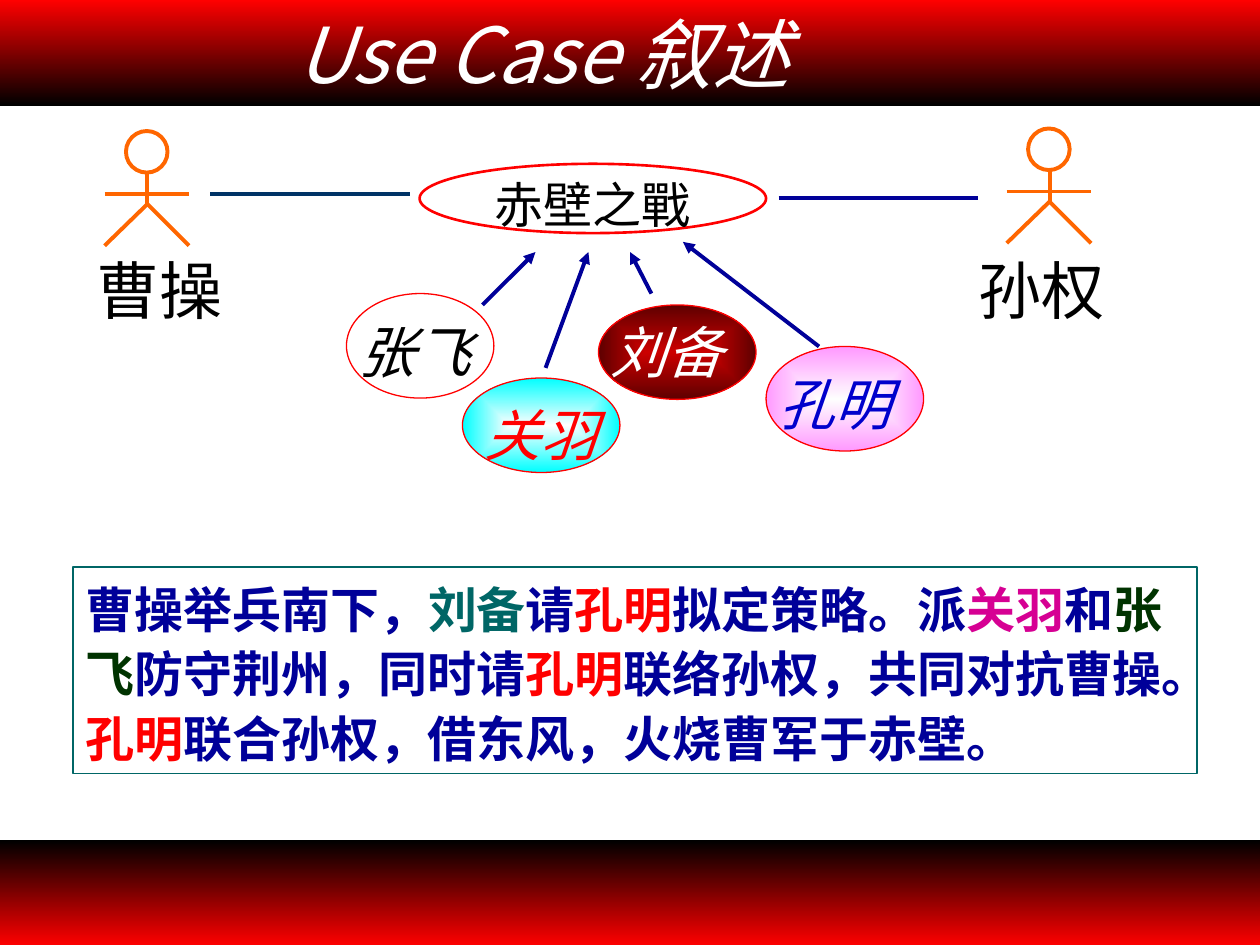
from pptx import Presentation
from pptx.dml.color import RGBColor
from pptx.enum.shapes import MSO_CONNECTOR, MSO_SHAPE
from pptx.enum.text import MSO_ANCHOR, PP_ALIGN
from pptx.oxml.ns import qn
from pptx.util import Inches, Pt
from lxml.etree import SubElement

BLACK = RGBColor(0x00, 0x00, 0x00)
WHITE = RGBColor(0xFF, 0xFF, 0xFF)
NEAR_WHITE = RGBColor(0xFE, 0xFE, 0xFE)
RED = RGBColor(0xFF, 0x00, 0x00)
CRIMSON = RGBColor(0xCC, 0x00, 0x00)
MAROON = RGBColor(0x5E, 0x00, 0x00)
CYAN = RGBColor(0x00, 0xFF, 0xFF)
PINK = RGBColor(0xFF, 0x99, 0xFF)
MAGENTA = RGBColor(0xD6, 0x00, 0x93)
BLUE = RGBColor(0x00, 0x00, 0xCC)
NAVY = RGBColor(0x00, 0x00, 0x99)
STEEL = RGBColor(0x00, 0x33, 0x66)
TEAL = RGBColor(0x00, 0x66, 0x66)
GREEN = RGBColor(0x00, 0x33, 0x00)
ORANGE = RGBColor(0xFF, 0x66, 0x00)

SERIF = "Times New Roman"

deck = Presentation()
deck.slide_width = Inches(10)
deck.slide_height = Inches(7.5)
page = deck.slides.add_slide(deck.slide_layouts[6])


def add_line(start, end, color, width, arrow=False):
    line = page.shapes.add_connector(
        MSO_CONNECTOR.STRAIGHT, *[Inches(value) for value in start + end])
    line.line.color.rgb = color
    line.line.width = Pt(width)
    properties = line._element.spPr
    if arrow:
        SubElement(properties.find(qn("a:ln")), qn("a:tailEnd"), type="triangle")
    SubElement(properties, qn("a:effectLst"))


def add_span(para, text, font_name, size, color, bold=False, italic=False):
    span = para.add_run()
    span.text = text
    span.font.name = font_name
    span.font.size = Pt(size)
    span.font.color.rgb = color
    span.font.bold = bold
    span.font.italic = italic


# Top and bottom bands
bands = []
for top, colors in ((0, (RED, BLACK)), (6.67, (BLACK, RED))):
    band = page.shapes.add_shape(
        MSO_SHAPE.RECTANGLE, 0, Inches(top), Inches(10), Inches(0.84))
    band.shadow.inherit = False
    band.line.fill.background()
    band.fill.gradient()
    band.fill.gradient_angle = 270
    for stop, color in zip(band.fill.gradient_stops, colors):
        stop.color.rgb = color
        stop.position = colors.index(color)
    bands.append(band)

# Title in the top band
frame = bands[0].text_frame
frame.word_wrap = True
frame.vertical_anchor = MSO_ANCHOR.MIDDLE
frame.margin_left = Inches(2.35)
frame.margin_top = frame.margin_bottom = 0
para = frame.paragraphs[0]
para.alignment = PP_ALIGN.LEFT
add_span(para, "Use Case 叙述", "Noto Sans CJK SC", 44, WHITE, italic=True)

# Ovals: actor heads, use case, and the four roles
ACTORS = ((1.17, 1.04), (8.33, 1.02))  # centre and top of each head
ovals = [((center - 0.17, top, 0.33, 0.33), (), ORANGE, 2.25)
         for center, top in ACTORS]
ovals += [
    ((3.33, 1.3, 2.75, 0.55), (), RED, 1.5),
    ((4.75, 2.42, 1.25, 0.75), (CRIMSON, MAROON), RED, 0.75),
    ((3.67, 3, 1.25, 0.75), (NEAR_WHITE, CYAN), RED, 0.75),
    ((6.08, 2.75, 1.25, 0.83), (NEAR_WHITE, PINK), RED, 0.75),
    ((2.75, 2.33, 1.17, 0.83), (WHITE,), RED, 0.75),
]
for place, colors, outline, width in ovals:
    oval = page.shapes.add_shape(
        MSO_SHAPE.OVAL, *[Inches(value) for value in place])
    oval.shadow.inherit = False
    oval.line.color.rgb = outline
    oval.line.width = Pt(width)
    if not colors:
        oval.fill.background()
    elif len(colors) == 1:
        oval.fill.solid()
        oval.fill.fore_color.rgb = colors[0]
    else:
        oval.fill.gradient()
        for stop, color in zip(oval.fill.gradient_stops, colors):
            stop.color.rgb = color
            stop.position = colors.index(color)
        # Radiate from the centre instead of running in one direction
        gradient = oval._element.spPr.find(qn("a:gradFill"))
        gradient.remove(gradient.find(qn("a:lin")))
        radial = SubElement(gradient, qn("a:path"), {"path": "rect"})
        SubElement(radial, qn("a:fillToRect"),
                   {side: "50000" for side in "ltrb"})

# Arms, body and legs of the actors
for center, top in ACTORS:
    left, right = center - 0.34, center + 0.33
    hip = (center, top + 0.58)
    for start, end in (
        ((left, top + 0.5), (right, top + 0.5)),
        ((center, top + 0.33), hip),
        (hip, (left, top + 0.91)),
        (hip, (right, top + 0.91)),
    ):
        add_line(start, end, ORANGE, 2.25)

# Links from actors to the use case
add_line((1.67, 1.54), (3.25, 1.54), STEEL, 2.5)
add_line((6.18, 1.57), (7.76, 1.57), NAVY, 2.5)

# Arrows from roles to the use case
for start, end in (
    ((3.83, 2.42), (4.25, 2)),
    ((4.33, 2.92), (4.67, 2)),
    ((5.17, 2.33), (5, 2)),
    ((6.5, 2.75), (5.42, 1.92)),
):
    add_line(start, end, NAVY, 2.25, arrow=True)

# Labels
for text, place, size, color, italic, spacing in (
    ("刘备", (4.75, 2.42, 1.17, 0.69), 32, WHITE, True, 1.1),
    ("关羽", (3.75, 3.08, 1.17, 0.69), 32, RED, True, 1.1),
    ("孔明", (6.08, 2.83, 1.17, 0.69), 32, BLUE, True, 1.1),
    ("张飞", (2.75, 2.42, 1.17, 0.69), 32, BLACK, True, 1.1),
    ("赤壁之戰", (3.83, 1.29, 2.17, 0.62), 28, BLACK, False, 1.1),
    ("曹操", (0.67, 2.04, 1.5, 0.61), 36, BLACK, False, 0.85),
    ("孙权", (7.67, 2.04, 1.25, 0.61), 36, BLACK, False, 0.85),
):
    box = page.shapes.add_textbox(*[Inches(value) for value in place])
    box.text_frame.word_wrap = True
    para = box.text_frame.paragraphs[0]
    para.line_spacing = spacing
    add_span(para, text, SERIF, size, color, italic=italic)

# Story with the roles picked out in colour
story = page.shapes.add_textbox(
    Inches(0.58), Inches(4.5), Inches(8.92), Inches(1.64))
story.line.color.rgb = TEAL
story.line.width = Pt(0.75)
story.text_frame.word_wrap = True
para = story.text_frame.paragraphs[0]
para.line_spacing = 1.1
for text, color in (
    ("曹操举兵南下，", NAVY), ("刘备", TEAL), ("请", NAVY), ("孔明", RED),
    ("拟定策略。派", NAVY), ("关羽", MAGENTA), ("和", NAVY), ("张飞", GREEN),
    ("防守荆州，同时请", NAVY), ("孔明", RED),
    ("联络孙权，共同对抗曹操。", NAVY), ("孔明", RED),
    ("联合孙权，借东风，火烧曹军于赤壁。", NAVY),
):
    add_span(para, text, "Arial", 28, color, bold=True)

deck.save("out.pptx")
